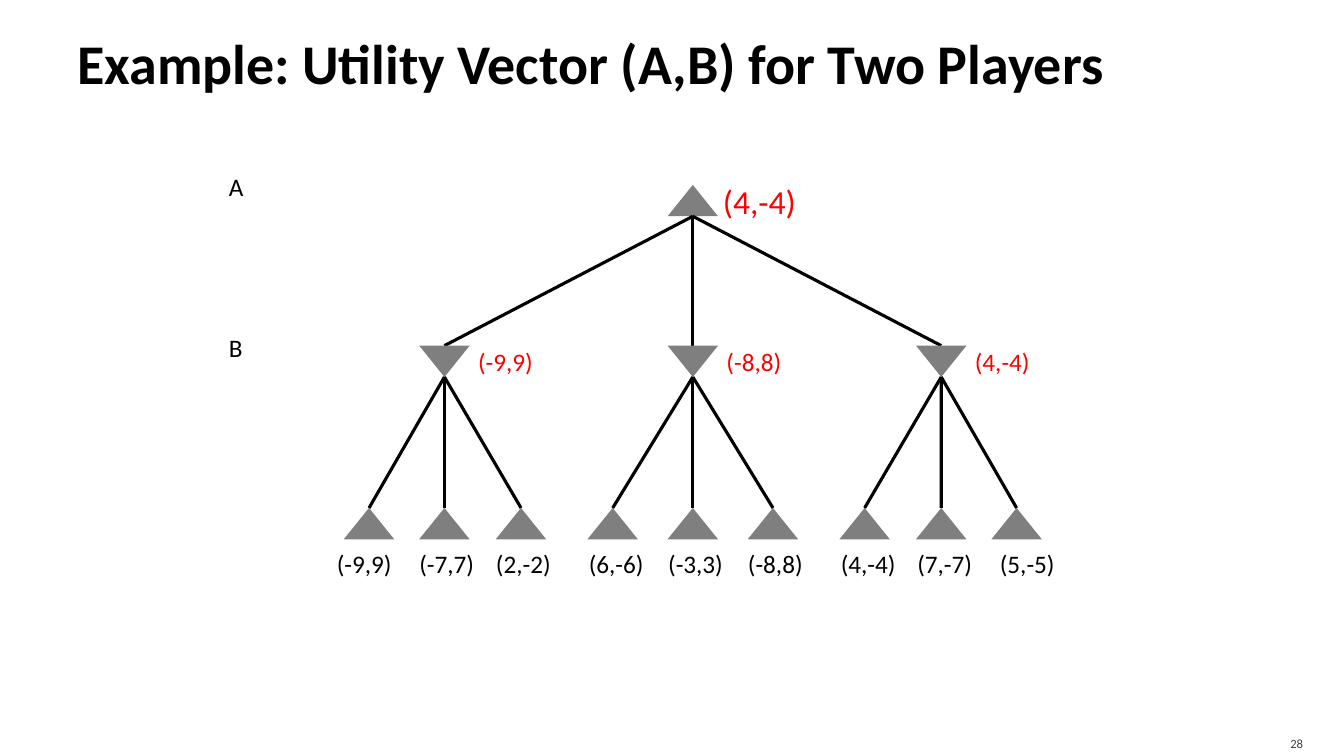
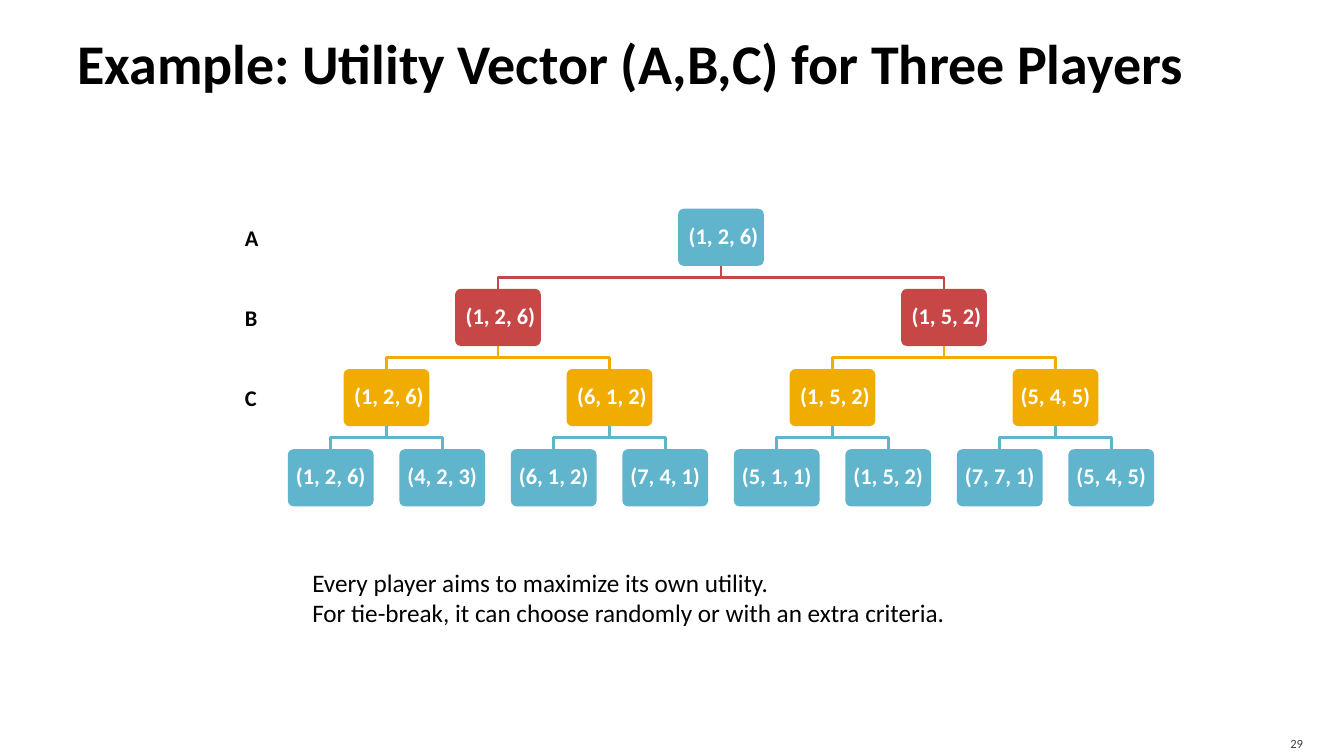
from pptx import Presentation
from pptx.dml.color import RGBColor
from pptx.enum.shapes import MSO_CONNECTOR, MSO_SHAPE
from pptx.enum.text import MSO_ANCHOR, PP_ALIGN
from pptx.oxml.ns import qn
from pptx.util import Cm, Pt
from lxml import etree

TRIANGLE, ROUNDED = MSO_SHAPE.ISOSCELES_TRIANGLE, MSO_SHAPE.ROUNDED_RECTANGLE
STRAIGHT = MSO_CONNECTOR.STRAIGHT
TOP, MIDDLE = MSO_ANCHOR.TOP, MSO_ANCHOR.MIDDLE
LEFT, CENTER, RIGHT = PP_ALIGN.LEFT, PP_ALIGN.CENTER, PP_ALIGN.RIGHT

# Shared look
FONT = "Calibri"
BLACK, WHITE, RED = "000000", "FFFFFF", "FF0000"
GREY, DARK_GREY = "7F7F7F", "414141"
BLUE, BRICK, AMBER = "60B5CC", "C64746", "F0AD00"

# Two-player tree, in cm
TRIANGLE_WIDTH, TRIANGLE_HEIGHT = 1.27, 0.79
ROOT_X, BRANCH_GAP = 17.46, 6.26
ROOT_TOP, BRANCH_TOP, LEAF_TOP = 4.66, 8.71, 12.8
# Per branch: value, then leaves as (offset, label offset, value)
BRANCHES = [
    ("(-9,9)", [(-1.9, -2.02, "(-9,9)"), (0, 0.06, "(-7,7)"), (1.93, 1.99, "(2,-2)")]),
    ("(-8,8)", [(-2.02, -1.93, "(6,-6)"), (0, 0.07, "(-3,3)"), (2.02, 2.08, "(-8,8)")]),
    ("(4,-4)", [(-1.93, -1.84, "(4,-4)"), (0, 0.09, "(7,-7)"), (1.9, 2.17, "(5,-5)")]),
]

# Three-player tree, in cm
BOX_WIDTH, BOX_HEIGHT = 2.16, 1.44
TREE_LEFT, TREE_TOP, LEAF_GAP, LEVEL_GAP = 6.93, 5.26, 2.81, 2.02
LEVELS = [
    ("A", BLUE, [" (1, 2, 6)"]),
    ("B", BRICK, [" (1, 2, 6)", " (1, 5, 2)"]),
    ("C", AMBER, [" (1, 2, 6)", " (6, 1, 2)", " (1, 5, 2)", "(5, 4, 5)"]),
    ("", BLUE, ["(1, 2, 6)", "(4, 2, 3)", "(6, 1, 2)", "(7, 4, 1)",
                "(5, 1, 1)", "(1, 5, 2)", "(7, 7, 1)", "(5, 4, 5)"]),
]


def color(value):
    return RGBColor.from_string(value)


def apply(target, values):
    for name, value in values.items():
        setattr(target, name, value)


def write(shape, lines, size, text_color=BLACK, bold=False, align=LEFT,
          anchor=MIDDLE, spacing=1.0):
    """Fill a shape with one paragraph per line, without insets."""
    frame = shape.text_frame
    apply(frame, {"word_wrap": True, "vertical_anchor": anchor, "margin_left": 0,
                  "margin_right": 0, "margin_top": 0, "margin_bottom": 0})
    for index, line in enumerate(lines):
        paragraph = frame.paragraphs[0] if index == 0 else frame.add_paragraph()
        apply(paragraph, {"alignment": align, "line_spacing": spacing})
        run = paragraph.add_run()
        run.text = line
        apply(run.font, {"name": FONT, "size": Pt(size), "bold": bold})
        run.font.color.rgb = color(text_color)


def add_text(slide, left, top, width, height, lines, size, **style):
    box = slide.shapes.add_textbox(Cm(left), Cm(top), Cm(width), Cm(height))
    write(box, lines, size, **style)


def add_value(slide, center_x, top, value, size=18, text_color=BLACK):
    width = 2.46
    add_text(slide, center_x - width / 2, top, width, 1.3, [value], size,
             text_color=text_color, align=CENTER)


def add_node(slide, kind, center_x, top, width, height, fill):
    shape = slide.shapes.add_shape(kind, Cm(center_x - width / 2), Cm(top),
                                   Cm(width), Cm(height))
    shape.shadow.inherit = False
    shape.fill.solid()
    shape.fill.fore_color.rgb = color(fill)
    shape.line.fill.background()
    return shape


def add_triangle(slide, center_x, top, rotation=0):
    shape = add_node(slide, TRIANGLE, center_x, top, TRIANGLE_WIDTH, TRIANGLE_HEIGHT, GREY)
    shape.rotation = rotation
    return shape


def add_edge(slide, start_x, start_top, end_x, end_y):
    """Line from the bottom of one triangle to the top of another."""
    line = slide.shapes.add_connector(STRAIGHT, Cm(start_x), Cm(start_top + TRIANGLE_HEIGHT),
                                      Cm(end_x), Cm(end_y))
    line.line.width = Pt(2.25)
    line.line.color.rgb = color(BLACK)
    etree.SubElement(line._element.spPr, qn("a:effectLst"))
    return line


def add_elbow(slide, parent_x, parent_bottom, child_x, child_top, line_color):
    """Down, across and down again, from a parent box to a child box."""
    middle = (parent_bottom + child_top) / 2
    points = [(parent_x, middle), (child_x, middle), (child_x, child_top)]
    builder = slide.shapes.build_freeform(Cm(parent_x), Cm(parent_bottom))
    builder.add_line_segments([(Cm(x), Cm(y)) for x, y in points], close=False)
    elbow = builder.convert_to_shape()
    elbow.shadow.inherit = False
    elbow.fill.background()
    elbow.line.width = Pt(2)
    elbow.line.color.rgb = color(line_color)


def add_slide(presentation, title, number):
    slide = presentation.slides.add_slide(presentation.slide_layouts[6])
    add_text(slide, 1.95, 0.2, 30.1, 2.74, [title], 40, bold=True)
    add_text(slide, 30.38, 18.42, 2.46, 0.63, [number], 9, text_color=DARK_GREY, align=RIGHT)
    return slide


def build_two_players(presentation):
    slide = add_slide(presentation, "Example: Utility Vector (A,B) for Two Players", "28")
    for player, top in (("A", ROOT_TOP), ("B", BRANCH_TOP)):
        add_text(slide, 5.77, top - 0.46, 1, 1, [player], 18)

    # Root
    add_triangle(slide, ROOT_X, ROOT_TOP)
    add_value(slide, ROOT_X + 1.68, 4.42, "(4,-4)", 24, RED)

    # Branches with their leaves
    for index, (value, leaves) in enumerate(BRANCHES):
        branch_x = ROOT_X + (index - 1) * BRANCH_GAP
        add_edge(slide, ROOT_X, ROOT_TOP, branch_x, BRANCH_TOP)
        add_triangle(slide, branch_x, BRANCH_TOP, rotation=180)
        add_value(slide, branch_x + 1.54, 8.46, value, text_color=RED)
        for offset, label_offset, leaf_value in leaves:
            leaf = add_triangle(slide, branch_x + offset, LEAF_TOP)
            edge = add_edge(slide, branch_x, BRANCH_TOP, branch_x + offset, LEAF_TOP)
            edge.end_connect(leaf, 0)
            add_value(slide, branch_x + label_offset, 13.54, leaf_value)


def build_three_players(presentation):
    slide = add_slide(presentation, "Example: Utility Vector (A,B,C) for Three Players", "29")
    tree_width = LEAF_GAP * len(LEVELS[-1][2])
    parents = []
    for depth, (player, fill, values) in enumerate(LEVELS):
        top = TREE_TOP + depth * LEVEL_GAP
        step = tree_width / len(values)
        centers = [TREE_LEFT + (index + 0.5) * step for index in range(len(values))]
        if player:
            add_text(slide, 6.17, top, 1, BOX_HEIGHT, [player], 16, bold=True)
        for index, (center_x, value) in enumerate(zip(centers, values)):
            if parents:
                add_elbow(slide, parents[index // 2], top - LEVEL_GAP + BOX_HEIGHT,
                          center_x, top, fill)
            box = add_node(slide, ROUNDED, center_x, top, BOX_WIDTH, BOX_HEIGHT, fill)
            box.adjustments[0] = 0.1
            write(box, [value], 16, text_color=WHITE, bold=True, align=CENTER, spacing=0.9)
        parents = centers

    # Rule of play
    add_text(slide, 7.87, 14.3, 20, 1.6,
             ["Every player aims to maximize its own utility.",
              "For tie-break, it can choose randomly or with an extra criteria."],
             18, anchor=TOP)


def main():
    presentation = Presentation()
    apply(presentation, {"slide_width": Cm(33.87), "slide_height": Cm(19.05)})
    build_two_players(presentation)
    build_three_players(presentation)
    presentation.save("out.pptx")


if __name__ == "__main__":
    main()
